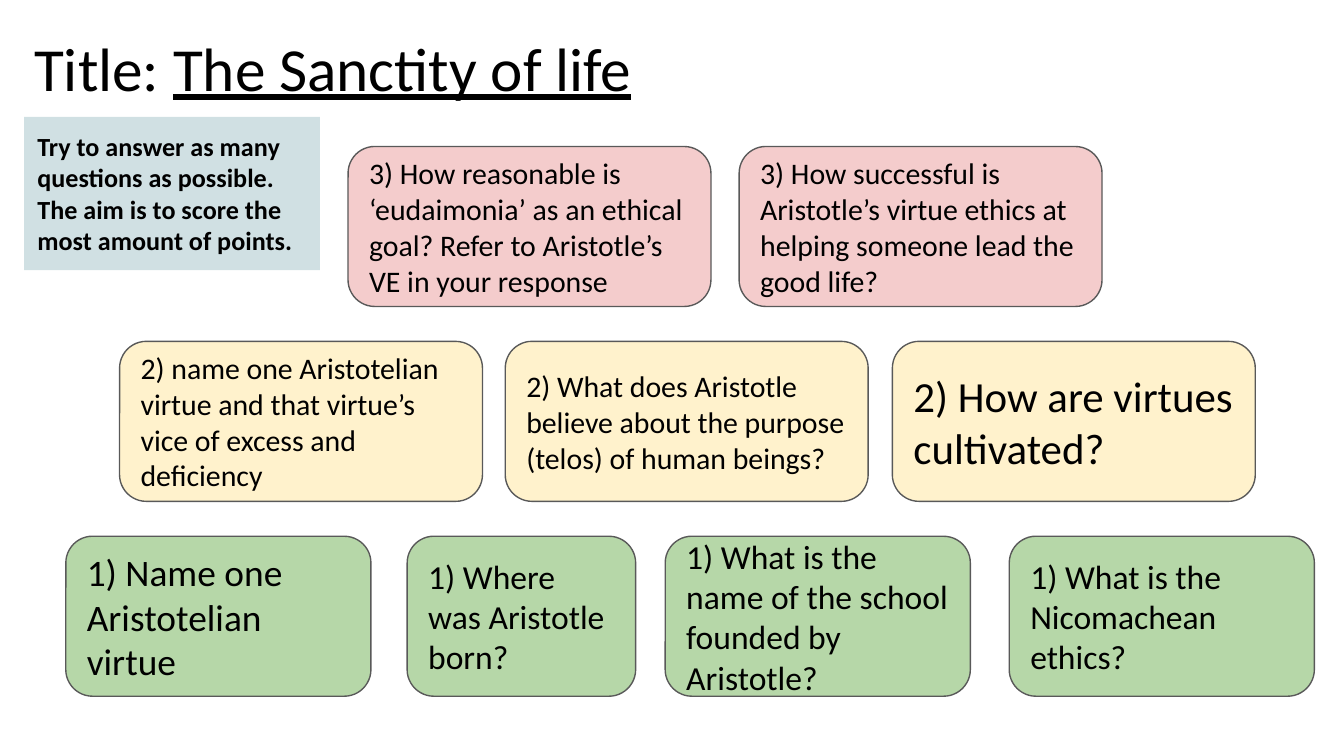
from pptx import Presentation
from pptx.dml.color import RGBColor
from pptx.enum.shapes import MSO_SHAPE as SHAPE
from pptx.enum.text import MSO_ANCHOR as ANCHOR, MSO_AUTO_SIZE as AUTO, PP_ALIGN as ALIGN
from pptx.util import Inches, Pt

COLORS = {
    "text": "000000", "outline": "595959", "note": "D0E0E3",
    "red": "F4CCCC", "yellow": "FFF2CC", "green": "B6D7A8",
}


def rgb(name):
    return RGBColor.from_string(COLORS[name])


def format_text(sp, size, anchor, align, bold=False):
    tf = sp.text_frame
    tf.word_wrap = True
    tf.auto_size = AUTO.NONE
    tf.vertical_anchor = anchor
    tf.margin_left = tf.margin_right = tf.margin_top = tf.margin_bottom = Inches(0.1)
    p = tf.paragraphs[0]
    p.alignment = align
    for r in p.runs:
        r.font.name = "Calibri"
        r.font.size = Pt(size)
        r.font.bold = bold
        r.font.color.rgb = rgb("text")


prs = Presentation()
prs.slide_width = Inches(10)
prs.slide_height = Inches(10) * 9 // 16
s = prs.slides.add_slide(prs.slide_layouts[5])

title = s.shapes.title
title.left, title.top, title.width, title.height = Inches(0), Inches(0), Inches(4.95), Inches(0.87)
p = title.text_frame.paragraphs[0]
p.add_run().text = "Title: "
r = p.add_run()
r.text = "The Sanctity of life"
r.font.underline = True
format_text(title, 32.8, ANCHOR.BOTTOM, ALIGN.CENTER)

question_rows = [
    ("red", [
        (2.59, 2.7, 16, "3) How reasonable is ‘eudaimonia’ as an ethical goal? "
                        "Refer to Aristotle’s VE in your response"),
        (5.5, 2.7, 16, "3) How successful is Aristotle’s virtue ethics at helping "
                       "someone lead the good life?"),
    ]),
    ("yellow", [
        (0.89, 2.7, 16, "2) name one Aristotelian virtue and that virtue’s vice of "
                        "excess and deficiency"),
        (3.76, 2.7, 16, "2) What does Aristotle believe about the purpose (telos) "
                        "of human beings?"),
        (6.64, 2.7, 23, "2) How are virtues cultivated?"),
    ]),
    ("green", [
        (0.49, 2.27, 20, "1) Name one Aristotelian virtue"),
        (3.03, 1.7, 18, "1) Where was Aristotle born?"),
        (4.95, 2.27, 18, "1) What is the name of the school founded by Aristotle?"),
        (7.51, 2.27, 18, "1) What is the Nicomachean ethics?"),
    ]),
]
for row, (color, questions) in enumerate(question_rows):
    top = 1.09 + 1.45 * row
    for left, width, size, question in questions:
        sp = s.shapes.add_shape(SHAPE.ROUNDED_RECTANGLE, Inches(left), Inches(top),
                                Inches(width), Inches(1.19))
        sp.shadow.inherit = False
        sp.fill.solid()
        sp.fill.fore_color.rgb = rgb(color)
        sp.line.color.rgb = rgb("outline")
        sp.line.width = Pt(0.75)
        sp.text_frame.text = question
        format_text(sp, size, ANCHOR.MIDDLE, ALIGN.LEFT)

note = s.shapes.add_shape(SHAPE.RECTANGLE, Inches(0.18), Inches(0.87), Inches(2.2), Inches(1.14))
note.shadow.inherit = False
note.fill.solid()
note.fill.fore_color.rgb = rgb("note")
note.line.fill.background()
note.text_frame.text = ("Try to answer as many questions as possible. "
                        "The aim is to score the most amount of points.")
format_text(note, 14, ANCHOR.TOP, ALIGN.LEFT, bold=True)

prs.save("out.pptx")
